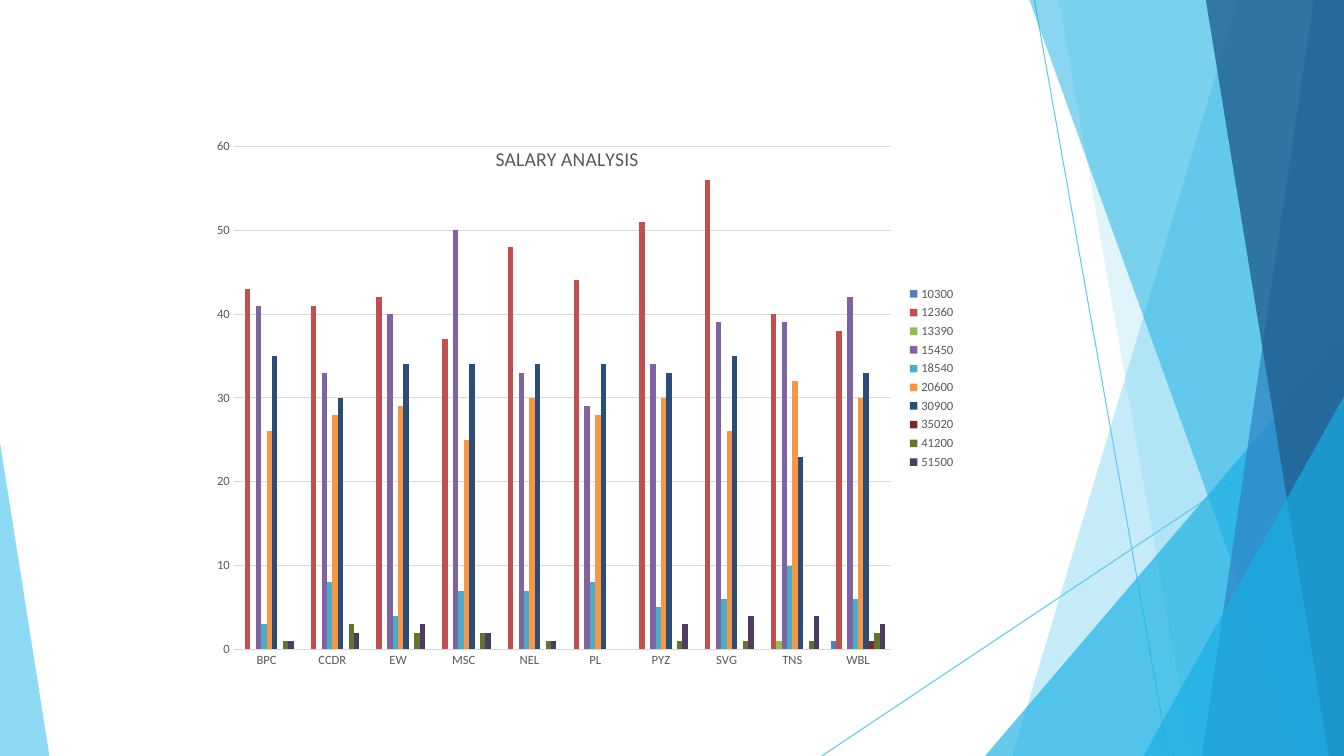
"""Build a salary analysis slide: a clustered column chart beside faceted blue panels."""
from lxml import etree
from pptx import Presentation
from pptx.chart.data import CategoryChartData
from pptx.dml.color import RGBColor
from pptx.enum.chart import XL_CHART_TYPE as ChartType, XL_LEGEND_POSITION as LegendPosition
from pptx.enum.chart import XL_TICK_MARK as TickMark
from pptx.enum.shapes import MSO_CONNECTOR as Connector
from pptx.oxml import parse_xml
from pptx.oxml.ns import nsdecls, qn
from pptx.util import Inches, Pt

WIDTH, HEIGHT = 13.33, 7.5
SKY = RGBColor(0x5F, 0xCA, 0xEE)
CYAN = RGBColor(0x17, 0xAF, 0xE3)
BLUE = RGBColor(0x2D, 0x83, 0xC3)
NAVY = RGBColor(0x22, 0x61, 0x92)
GREY = RGBColor(0x59, 0x59, 0x59)
PALE = RGBColor(0xD9, 0xD9, 0xD9)
FONT = "Calibri"


def write_text(frame, text, *, size, color, bold=False):
    """Put one formatted paragraph into a text frame."""
    para = frame.paragraphs[0]
    span = para.add_run()
    span.text = text
    span.font.name, span.font.size, span.font.bold = FONT, Pt(size), bold
    span.font.color.rgb = color


def place_part(part, index, **settings):
    """Give a chart part a manual layout, as shares of the chart's size."""
    for layout in part.findall(qn("c:layout")):
        part.remove(layout)
    fields = "".join(f'<c:{name} val="{value}"/>' for name, value in settings.items())
    part.insert(index, parse_xml(
        f'<c:layout {nsdecls("c")}><c:manualLayout>{fields}</c:manualLayout></c:layout>'))


deck = Presentation()
deck.slide_width, deck.slide_height = Inches(WIDTH), Inches(HEIGHT)
page = deck.slides.add_slide(deck.slide_layouts[6])

for start_x, start_y, end_x in [(10.26, 0, 11.59), (WIDTH, 4.04, 8.15)]:
    line = page.shapes.add_connector(
        Connector.STRAIGHT, Inches(start_x), Inches(start_y), Inches(end_x), Inches(HEIGHT))
    line.line.color.rgb = SKY
    line.line.width = Pt(0.75)
    etree.SubElement(line._element.spPr, qn("a:effectLst"))

panels = [
    (WIDTH, 12.28, 0, 10.04, SKY, 36),
    (WIDTH, 10.5, 0, 11.82, SKY, 20),
    (WIDTH, WIDTH, 3.33, 9.77, CYAN, 66),
    (WIDTH, 10.21, 0, 12.91, CYAN, 50),
    (WIDTH, 13.03, 0, 11.92, BLUE, 70),
    (WIDTH, 11.96, 0, 13.18, NAVY, 80),
    (WIDTH, WIDTH, 3.93, 11.34, CYAN, 66),
    (0, 0, 4.39, 0.49, SKY, 70),
]
for side, top_x, top_y, bottom_x, color, opacity in panels:
    outline = page.shapes.build_freeform(Inches(side), Inches(top_y))
    corners = [(top_x, top_y), (bottom_x, HEIGHT), (side, HEIGHT)]
    outline.add_line_segments([(Inches(x), Inches(y)) for x, y in corners], close=True)
    panel = outline.convert_to_shape()
    panel.shadow.inherit = False
    panel.line.fill.background()
    panel.fill.solid()
    panel.fill.fore_color.rgb = color
    tint = panel._element.spPr.find(qn("a:solidFill"))[0]
    etree.SubElement(tint, qn("a:alpha"), val=str(opacity * 1000))

salaries = [
    ("10300", [None] * 9 + [1], RGBColor(0x4F, 0x81, 0xBD)),
    ("12360", [43, 41, 42, 37, 48, 44, 51, 56, 40, 38], RGBColor(0xC0, 0x50, 0x4D)),
    ("13390", [None] * 8 + [1, None], RGBColor(0x9B, 0xBB, 0x59)),
    ("15450", [41, 33, 40, 50, 33, 29, 34, 39, 39, 42], RGBColor(0x80, 0x64, 0xA2)),
    ("18540", [3, 8, 4, 7, 7, 8, 5, 6, 10, 6], RGBColor(0x4B, 0xAC, 0xC6)),
    ("20600", [26, 28, 29, 25, 30, 28, 30, 26, 32, 30], RGBColor(0xF7, 0x96, 0x46)),
    ("30900", [35, 30, 34, 34, 34, 34, 33, 35, 23, 33], RGBColor(0x2C, 0x4D, 0x75)),
    ("35020", [None] * 9 + [1], RGBColor(0x77, 0x2C, 0x2A)),
    ("41200", [1, 3, 2, 2, 1, None, 1, 1, 1, 2], RGBColor(0x5F, 0x75, 0x30)),
    ("51500", [1, 2, 3, 2, 1, None, 3, 4, 4, 3], RGBColor(0x4D, 0x3B, 0x62)),
]
data = CategoryChartData()
data.categories = ["BPC", "CCDR", "EW", "MSC", "NEL", "PL", "PYZ", "SVG", "TNS", "WBL"]
for name, counts, color in salaries:
    data.add_series(name, counts)
chart = page.shapes.add_chart(
    ChartType.COLUMN_CLUSTERED, Inches(2), Inches(0.75), Inches(7.58), Inches(6), data).chart
chart.font.name, chart.font.size = FONT, Pt(10)

plot = chart.plots[0]
plot.gap_width, plot.overlap, plot.vary_by_categories = 219, 0, False
for series, (name, counts, color) in zip(plot.series, salaries):
    series.invert_if_negative = False
    series.format.fill.solid()
    series.format.fill.fore_color.rgb = color

chart.has_legend = True
chart.legend.position = LegendPosition.RIGHT
chart.legend.include_in_layout = False

departments, staff = chart.category_axis, chart.value_axis
staff.minimum_scale, staff.maximum_scale, staff.major_unit = 0, 60, 10
staff.has_major_gridlines = True
staff.format.line.fill.background()
for rule in (departments.format.line, staff.major_gridlines.format.line):
    rule.color.rgb = PALE
    rule.width = Pt(0.75)
for axis in (departments, staff):
    axis.major_tick_mark = axis.minor_tick_mark = TickMark.NONE
for font in (departments.tick_labels.font, staff.tick_labels.font, chart.legend.font):
    font.name, font.size = FONT, Pt(9)
    font.color.rgb = GREY

chart.has_title = True
write_text(chart.chart_title.text_frame, "SALARY ANALYSIS", size=14, color=GREY)
title_part = chart._chartSpace.xpath("c:chart/c:title")[0]
plot_part = chart._chartSpace.xpath("c:chart/c:plotArea")[0]
place_part(title_part, 1, xMode="edge", yMode="edge", x=0.38, y=0.11)
place_part(plot_part, 0, layoutTarget="inner", xMode="edge", yMode="edge",
           x=0.042, y=0.117, w=0.86, h=0.832)

deck.save("out.pptx")
